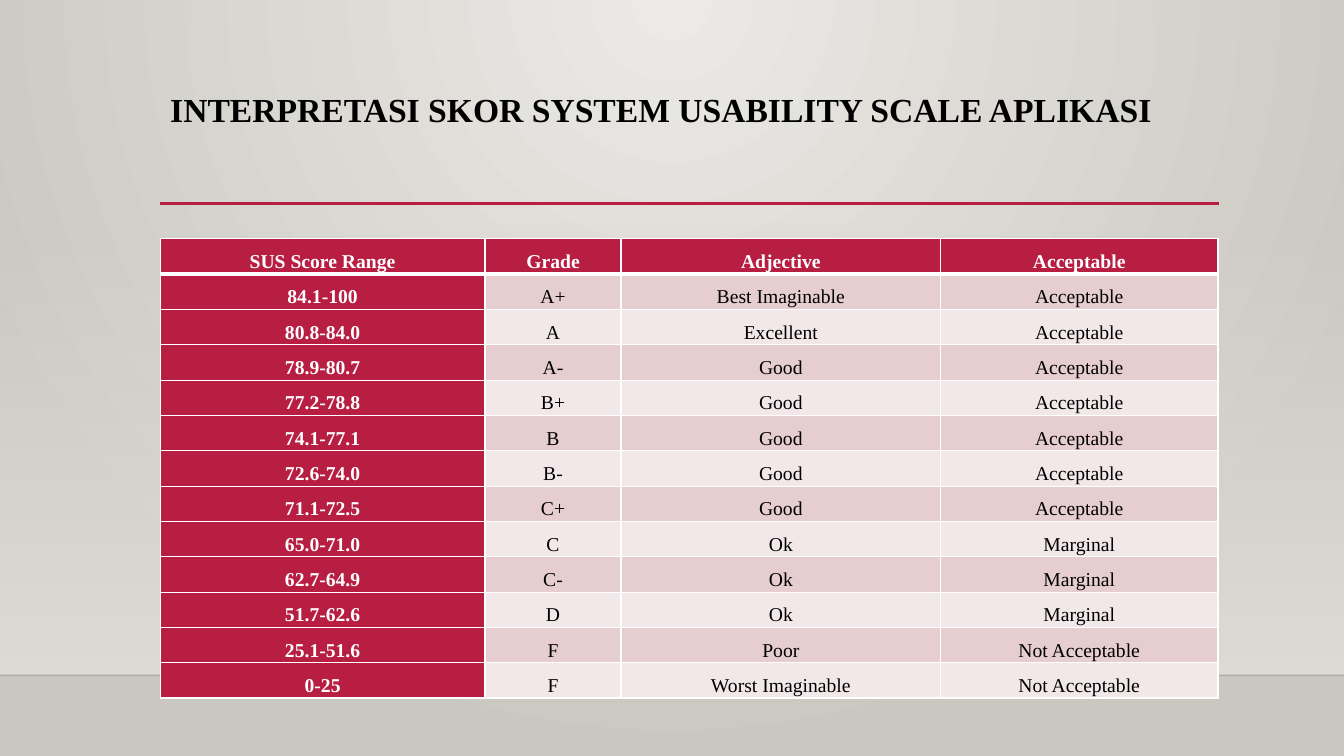
from lxml import etree
from pptx import Presentation
from pptx.dml.color import RGBColor
from pptx.enum.shapes import MSO_CONNECTOR, MSO_SHAPE
from pptx.enum.text import MSO_ANCHOR, PP_ALIGN
from pptx.oxml import parse_xml
from pptx.oxml.ns import qn
from pptx.util import Inches, Pt

STRAIGHT = MSO_CONNECTOR.STRAIGHT
RECTANGLE = MSO_SHAPE.RECTANGLE
TOP, MIDDLE = MSO_ANCHOR.TOP, MSO_ANCHOR.MIDDLE
LEFT, CENTER = PP_ALIGN.LEFT, PP_ALIGN.CENTER
NAMESPACE = "http://schemas.openxmlformats.org/drawingml/2006/main"

FONT = "Times New Roman"
CRIMSON, WHITE, BLACK = "B71E42", "FFFFFF", "000000"
BANDS = ("E6CDCF", "F3E8E9")
WIDTH, HEIGHT = 13.33, 7.5
MARGIN, CONTENT_WIDTH = 1.59, 10.5
FLOOR = 6.7
COLUMNS = (3.22, 1.35, 3.17, 2.75)
ROW_HEIGHT = 0.31

TITLE = "INTERPRETASI SKOR SYSTEM USABILITY SCALE APLIKASI"
SCORES = (
    ("SUS Score Range", "Grade", "Adjective", "Acceptable"),
    ("84.1-100", "A+", "Best Imaginable", "Acceptable"),
    ("80.8-84.0", "A", "Excellent", "Acceptable"),
    ("78.9-80.7", "A-", "Good", "Acceptable"),
    ("77.2-78.8", "B+", "Good", "Acceptable"),
    ("74.1-77.1", "B", "Good", "Acceptable"),
    ("72.6-74.0", "B-", "Good", "Acceptable"),
    ("71.1-72.5", "C+", "Good", "Acceptable"),
    ("65.0-71.0", "C", "Ok", "Marginal"),
    ("62.7-64.9", "C-", "Ok", "Marginal"),
    ("51.7-62.6", "D", "Ok", "Marginal"),
    ("25.1-51.6", "F", "Poor", "Not Acceptable"),
    ("0-25", "F", "Worst Imaginable", "Not Acceptable"),
)


def color(value):
    """Turn a hex string into a colour."""
    return RGBColor.from_string(value)


def set_gradient(owner, fill, stops, direction):
    """Give a fill a gradient of (position, colour, opacity) stops."""
    fill.solid()
    solid = owner.find(".//" + qn("a:solidFill"))
    marks = "".join(
        f'<a:gs pos="{position * 1000}"><a:srgbClr val="{value}">'
        f'<a:alpha val="{opacity * 1000}"/></a:srgbClr></a:gs>'
        for position, value, opacity in stops
    )
    gradient = parse_xml(
        f'<a:gradFill xmlns:a="{NAMESPACE}" rotWithShape="1">'
        f"<a:gsLst>{marks}</a:gsLst>{direction}</a:gradFill>"
    )
    solid.getparent().replace(solid, gradient)


def add_backdrop(page):
    """Paint the radial background and the wall fading in above the floor."""
    set_gradient(
        page.element,
        page.background.fill,
        ((0, "ECEAE7", 100), (100, "CAC7C1", 100)),
        '<a:path path="circle"><a:fillToRect l="43000" r="43000" b="100000"/></a:path>',
    )
    top = 2.21
    wall = page.shapes.add_shape(
        RECTANGLE, 0, Inches(top), Inches(WIDTH), Inches(FLOOR - top)
    )
    wall.shadow.inherit = False
    wall.line.fill.background()
    set_gradient(
        wall.element,
        wall.fill,
        ((0, "DFDBD5", 0), (100, "DFDBD5", 100)),
        '<a:lin ang="5400000" scaled="0"/>',
    )


def add_rule(page, left, right, top, value, width, opacity=100):
    """Draw a horizontal line."""
    rule = page.shapes.add_connector(
        STRAIGHT, Inches(left), Inches(top), Inches(right), Inches(top)
    )
    rule.line.color.rgb = color(value)
    rule.line.width = Pt(width)
    tint = rule.element.spPr.find(".//" + qn("a:srgbClr"))
    etree.SubElement(tint, qn("a:alpha"), val=str(opacity * 1000))
    etree.SubElement(rule.element.spPr, qn("a:effectLst"))


def write(frame, text, size, value, bold, align, spacing):
    """Write one paragraph with one run."""
    para = frame.paragraphs[0]
    para.alignment = align
    para.line_spacing = spacing
    run = para.add_run()
    run.text = text
    run.font.name = FONT
    run.font.size = Pt(size)
    run.font.bold = bold
    run.font.color.rgb = color(value)


def add_title(page):
    """Place the heading above the red rule."""
    box = page.shapes.add_textbox(
        Inches(MARGIN), Inches(0.88), Inches(CONTENT_WIDTH), Inches(1.15)
    )
    box.text_frame.word_wrap = True
    box.text_frame.vertical_anchor = TOP
    write(box.text_frame, TITLE, 24, BLACK, True, LEFT, 0.9)


def set_borders(cell, top, bottom):
    """Add white cell borders ahead of the fill."""
    properties = cell._tc.get_or_add_tcPr()
    widths = (("L", 1), ("R", 1), ("T", top), ("B", bottom))
    for index, (side, width) in enumerate(widths):
        border = parse_xml(
            f'<a:ln{side} xmlns:a="{NAMESPACE}" w="{Pt(width)}"><a:solidFill>'
            f'<a:srgbClr val="{WHITE}"/></a:solidFill></a:ln{side}>'
        )
        properties.insert(index, border)


def fill_cell(cell, text, row, column):
    """Style and fill one cell by its place in the table."""
    heading = row == 0 or column == 0
    cell.margin_left = cell.margin_right = Inches(0.07)
    cell.margin_top = cell.margin_bottom = 0
    cell.vertical_anchor = MIDDLE
    cell.fill.solid()
    cell.fill.fore_color.rgb = color(CRIMSON if heading else BANDS[(row - 1) % 2])
    set_borders(cell, 3 if row == 1 else 1, 3 if row == 0 else 1)
    write(cell.text_frame, text, 14, WHITE if heading else BLACK, heading, CENTER, 1.5)


def add_scores(page):
    """Build the table of score ranges."""
    table = page.shapes.add_table(
        len(SCORES), len(COLUMNS), Inches(MARGIN), Inches(2.37),
        Inches(CONTENT_WIDTH), Inches(ROW_HEIGHT * len(SCORES)),
    ).table
    for column, width in zip(table.columns, COLUMNS):
        column.width = Inches(width)
    for row, texts in enumerate(SCORES):
        table.rows[row].height = Inches(ROW_HEIGHT)
        for column, text in enumerate(texts):
            fill_cell(table.cell(row, column), text, row, column)


def main():
    """Build and save the slide."""
    deck = Presentation()
    deck.slide_width, deck.slide_height = Inches(WIDTH), Inches(HEIGHT)
    page = deck.slides.add_slide(deck.slide_layouts[6])
    add_backdrop(page)
    add_rule(page, 0, WIDTH, FLOOR, "000001", 1, 20)
    add_rule(page, MARGIN, MARGIN + CONTENT_WIDTH, 2.02, CRIMSON, 2.5)
    add_title(page)
    add_scores(page)
    deck.save("out.pptx")


if __name__ == "__main__":
    main()
